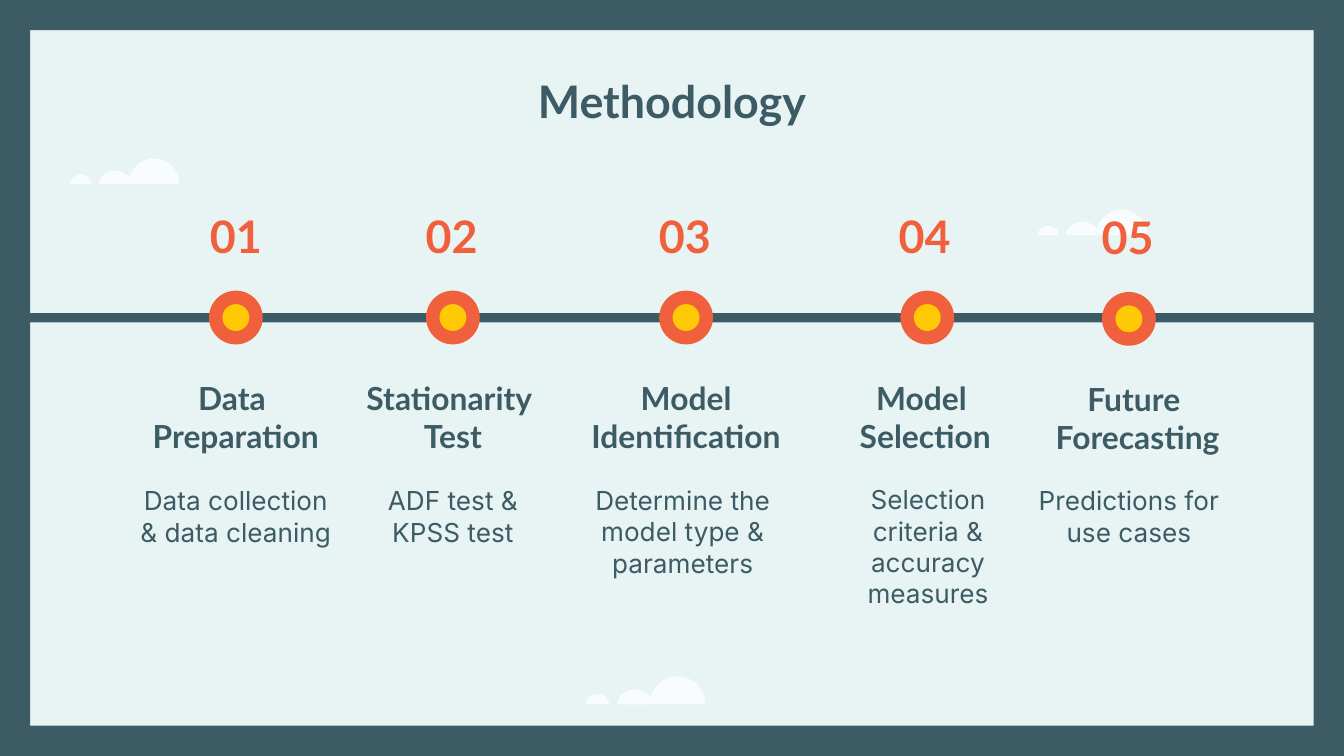
from dataclasses import dataclass

from lxml import etree
from pptx import Presentation
from pptx.dml.color import RGBColor
from pptx.enum.shapes import MSO_SHAPE
from pptx.enum.text import MSO_ANCHOR, MSO_AUTO_SIZE, PP_ALIGN
from pptx.oxml.ns import qn
from pptx.util import Emu, Inches, Pt

RECT, OVAL = MSO_SHAPE.RECTANGLE, MSO_SHAPE.OVAL
CENTER, MIDDLE, FIXED = PP_ALIGN.CENTER, MSO_ANCHOR.MIDDLE, MSO_AUTO_SIZE.NONE

# Square grid: 100 columns by 56.25 rows
COLS, ROWS = 100, 56.25
UNIT = Inches(0.1)
EDGE = 2.25
PAD = Inches(0.1)
BEND = 0.55  # pull of a quarter-round curve


@dataclass(frozen=True)
class Type:
    name: str
    size: float
    color: str
    bold: bool = False


@dataclass(frozen=True)
class Theme:
    sky: str = "E8F4F3"
    slate: str = "3C5B64"
    coral: str = "F0603C"
    gold: str = "FFCA05"
    mist: str = "F9FCFF"
    title: Type = Type("Lato", 24, "3C5B64", True)
    count: Type = Type("Lato", 24, "F0603C", True)
    head: Type = Type("Lato", 17, "3C5B64", True)
    body: Type = Type("Inter", 14, "3C5B64")


@dataclass(frozen=True)
class Box:
    left: float
    top: float
    width: float
    height: float

    def emu(self) -> tuple:
        sides = (self.left, self.top, self.width, self.height)
        return tuple(Emu(round(n * UNIT)) for n in sides)


@dataclass(frozen=True)
class Stop:
    mid: float
    head: str
    body: str
    top: float = 36.4
    height: float = 4
    width: float = 17.1
    drop: float = 0
    count_dx: float = -0.1
    head_dx: float = 0
    body_dx: float = 0


@dataclass(frozen=True)
class Cloud:
    left: float
    base: float
    scale: float = 1


THEME = Theme()
STOPS = [
    Stop(17.55, "Data \nPreparation", "Data collection & data cleaning",
         count_dx=0),
    Stop(33.7, "Stationarity \nTest", "ADF test & KPSS test"),
    Stop(51.05, "Model Identification", "Determine the model type & parameters",
         34.3, 10.5, 16.6, body_dx=-0.25),
    Stop(69, "Model \nSelection", "Selection criteria & accuracy measures",
         height=8.5, count_dx=-0.2, head_dx=-0.15, body_dx=0.05),
    Stop(84, "Future \nForecasting", "Predictions for use cases",
         drop=0.1, head_dx=0.65),
]
CLOUDS = [Cloud(43.6, 52.4, 1.09), Cloud(5.2, 13.7), Cloud(77.2, 17.5)]
# Offset, width and height of each puff
PUFFS = [(4.35, 3.8, 1.9), (2.15, 2.4, 1), (0, 1.6, 0.7)]


def paint(shape, color: str) -> None:
    shape.fill.solid()
    shape.fill.fore_color.rgb = RGBColor.from_string(color)
    shape.line.fill.background()
    shape.shadow.inherit = False


def block(shapes, kind, box: Box, color: str) -> None:
    paint(shapes.add_shape(kind, *box.emu()), color)


def write(shape, text: str, style: Type) -> None:
    frame = shape.text_frame
    form = dict(word_wrap=True, auto_size=FIXED, vertical_anchor=MIDDLE,
                margin_left=PAD, margin_right=PAD,
                margin_top=PAD, margin_bottom=PAD)
    for key, value in form.items():
        setattr(frame, key, value)
    frame.text = text
    font = dict(name=style.name, size=Pt(style.size), bold=style.bold)
    for para in frame.paragraphs:
        para.alignment = CENTER
        for run in para.runs:
            for key, value in font.items():
                setattr(run.font, key, value)
            run.font.color.rgb = RGBColor.from_string(style.color)


def label(shapes, mid: float, top: float, width: float, height: float,
          text: str, style: Type) -> None:
    box = Box(mid - width / 2, top, width, height)
    write(shapes.add_textbox(*box.emu()), text, style)


def curve(*points: tuple):
    arc = etree.Element(qn("a:cubicBezTo"))
    for x, y in points:
        etree.SubElement(arc, qn("a:pt"), x=str(round(x)), y=str(round(y)))
    return arc


def draw_puff(shapes, box: Box) -> None:
    left, top, wide, high = box.emu()
    half = wide // 2
    pen = shapes.build_freeform(left + half, top)
    pen.add_line_segments([(left, top + high), (left + wide, top + high),
                           (left + half, top)], close=True)
    puff = pen.convert_to_shape()
    # Round the two slanted sides
    sides = list(puff.element.iter(qn("a:lnTo")))
    pull, rise = half * BEND, high * (1 - BEND)
    down = curve((half - pull, 0), (0, rise), (0, high))
    back = curve((wide, rise), (half + pull, 0), (half, 0))
    for side, arc in ((sides[0], down), (sides[2], back)):
        side.getparent().replace(side, arc)
    paint(puff, THEME.mist)


def draw_cloud(shapes, cloud: Cloud) -> None:
    group = shapes.add_group_shape().shapes
    for puff in PUFFS:
        shift, width, height = (n * cloud.scale for n in puff)
        draw_puff(group, Box(cloud.left + shift, cloud.base - height,
                             width, height))


def draw_mark(shapes, stop: Stop) -> None:
    group = shapes.add_group_shape().shapes
    for size, color in ((4, THEME.coral), (2, THEME.gold)):
        box = Box(stop.mid - size / 2, 23.63 + stop.drop - size / 2, size, size)
        block(group, OVAL, box, color)


def draw_stop(shapes, number: int, stop: Stop) -> None:
    draw_mark(shapes, stop)
    label(shapes, stop.mid + stop.count_dx, 14.6 + stop.drop, 8.2, 5.8,
          f"{number:02}", THEME.count)
    label(shapes, stop.mid + stop.head_dx, 29.46 + stop.drop, 19.3, 3.1,
          stop.head, THEME.head)
    label(shapes, stop.mid + stop.body_dx, stop.top, stop.width, stop.height,
          stop.body, THEME.body)


def main() -> None:
    deck = Presentation()
    deck.slide_width = Emu(COLS * UNIT)
    deck.slide_height = Emu(round(ROWS * UNIT))
    slide = deck.slides.add_slide(deck.slide_layouts[5])
    shapes = slide.shapes
    slide.background.fill.solid()
    slide.background.fill.fore_color.rgb = RGBColor.from_string(THEME.sky)

    # Frame
    for box in (Box(0, 0, EDGE, ROWS), Box(0, 0, COLS, EDGE),
                Box(0, ROWS - EDGE, COLS, EDGE),
                Box(COLS - EDGE, 0, EDGE, ROWS)):
        block(shapes, RECT, box, THEME.slate)

    # Title
    title = shapes.title
    spot = Box(7.5, 5.8, 85, 3.3).emu()
    for key, value in zip(("left", "top", "width", "height"), spot):
        setattr(title, key, value)
    write(title, "Methodology", THEME.title)

    # Clouds, then the timeline over them
    for cloud in CLOUDS:
        draw_cloud(shapes, cloud)
    block(shapes, RECT, Box(0, 23.3, COLS, 0.7), THEME.slate)
    for number, stop in enumerate(STOPS, 1):
        draw_stop(shapes, number, stop)

    deck.save("out.pptx")


if __name__ == "__main__":
    main()
